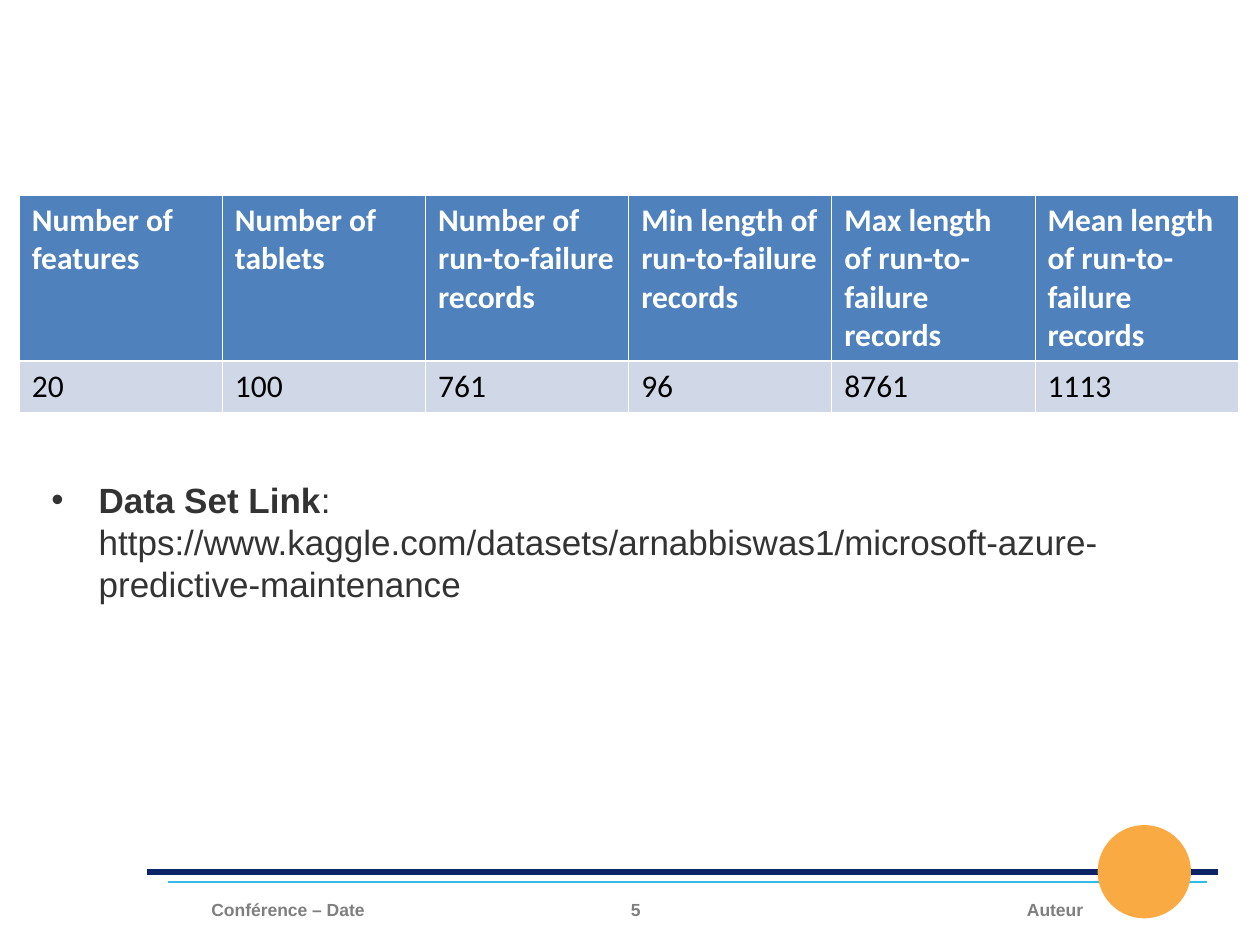
"""Build the data set slide with its table, link and footer."""
from lxml import etree
from pptx import Presentation
from pptx.dml.color import RGBColor
from pptx.enum import shapes, text
from pptx.oxml.ns import qn
from pptx.util import Pt

INK = {"white": "FFFFFF", "black": "000000", "gray": "7F7F7F", "dark": "333333",
       "navy": "0C2468", "cyan": "33BAE6", "gold": "F9AA42",
       "head": "4F81BD", "body": "D0D8E8"}
LEFT, MID, RIGHT = text.PP_ALIGN.LEFT, text.PP_ALIGN.CENTER, text.PP_ALIGN.RIGHT

ROWS = [
    ["Number of features", "Number of tablets", "Number of run-to-failure records",
     "Min length of run-to-failure records", "Max length of run-to-failure records",
     "Mean length of run-to-failure records"],
    ["20", "100", "761", "96", "8761", "1113"],
]
LOOKS = [("head", "white", True, 95), ("body", "black", False, 29.4)]
LINK = [("Data Set Link", True),
        (": https://www.kaggle.com/datasets/arnabbiswas1/"
         "microsoft-azure-predictive-maintenance", False)]
FOOT = [("5", 318.25, 90, MID), ("Conférence – Date", 113.75, 186, LEFT),
        ("Auteur", 440, 186, RIGHT)]
RULES = [(84, 696, 498.25, "navy", 3), (96, 690, 504, "cyan", 1.5)]


def rgb(name):
    return RGBColor.from_string(INK[name])


def add_run(para, words, size, ink, bold=False, face="Arial"):
    run = para.add_run()
    run.text = words
    font = run.font
    font.name, font.size, font.bold = face, Pt(size), bold
    font.color.rgb = rgb(ink)


def add_box(slide, x, y, w, h):
    frame = slide.shapes.add_textbox(Pt(x), Pt(y), Pt(w), Pt(h)).text_frame
    frame.word_wrap = True
    return frame.paragraphs[0]


def add_node(parent, tag, **attrs):
    node = etree.SubElement(parent, qn("a:" + tag))
    for key, value in attrs.items():
        node.set(key, str(value))
    return node


def add_edge(cell, side, width):
    line = add_node(cell._tc.get_or_add_tcPr(), "ln" + side, w=int(Pt(width)))
    add_node(add_node(line, "solidFill"), "srgbClr", val=INK["white"])


def add_rules(slide):
    for x1, x2, y, ink, width in RULES:
        line = slide.shapes.add_connector(
            shapes.MSO_CONNECTOR.STRAIGHT, Pt(x1), Pt(y), Pt(x2), Pt(y))
        line.line.color.rgb = rgb(ink)
        line.line.width = Pt(width)
        add_node(line.element.spPr, "effectLst")


def add_disc(slide):
    disc = slide.shapes.add_shape(
        shapes.MSO_SHAPE.OVAL, Pt(627.25), Pt(471.5), Pt(53.25), Pt(53.25))
    disc.shadow.inherit = False
    disc.line.fill.background()
    disc.fill.solid()
    disc.fill.fore_color.rgb = rgb("gold")


def add_link(slide):
    para = add_box(slide, 22.25, 270, 677.5, 147)
    props = para._p.get_or_add_pPr()
    props.set("marL", str(Pt(27)))
    props.set("indent", str(-Pt(27)))
    add_node(add_node(props, "buClr"), "srgbClr", val=INK["dark"])
    add_node(props, "buFont", typeface="Arial")
    add_node(props, "buChar", char="•")
    for words, bold in LINK:
        add_run(para, words, 20, "dark", bold)


def add_grid(slide):
    count = len(ROWS[0])
    grid = slide.shapes.add_table(
        len(ROWS), count, Pt(11), Pt(111.4), Pt(696.6), Pt(124.4)).table
    for col in grid.columns:
        col.width = Pt(696.6 / count)
    for r, (row, (fill, ink, bold, tall)) in enumerate(zip(ROWS, LOOKS)):
        grid.rows[r].height = Pt(tall)
        for c, words in enumerate(row):
            cell = grid.cell(r, c)
            top, low = (0.45, 1.47) if r == 0 else (1.47, 0.45)
            for side, width in zip("LRTB", (0.45, 0.45, top, low)):
                add_edge(cell, side, width)
            cell.fill.solid()
            cell.fill.fore_color.rgb = rgb(fill)
            add_run(cell.text_frame.paragraphs[0], words, 18, ink, bold, "Calibri")


def main():
    deck = Presentation()
    deck.slide_width, deck.slide_height = Pt(720), Pt(540)
    slide = deck.slides.add_slide(deck.slide_layouts[6])
    add_rules(slide)
    add_disc(slide)
    for words, x, w, align in FOOT:
        para = add_box(slide, x, 510, w, 19.25)
        para.alignment = align
        add_run(para, words, 10, "gray", True)
    add_link(slide)
    add_grid(slide)
    deck.save("out.pptx")


if __name__ == "__main__":
    main()
